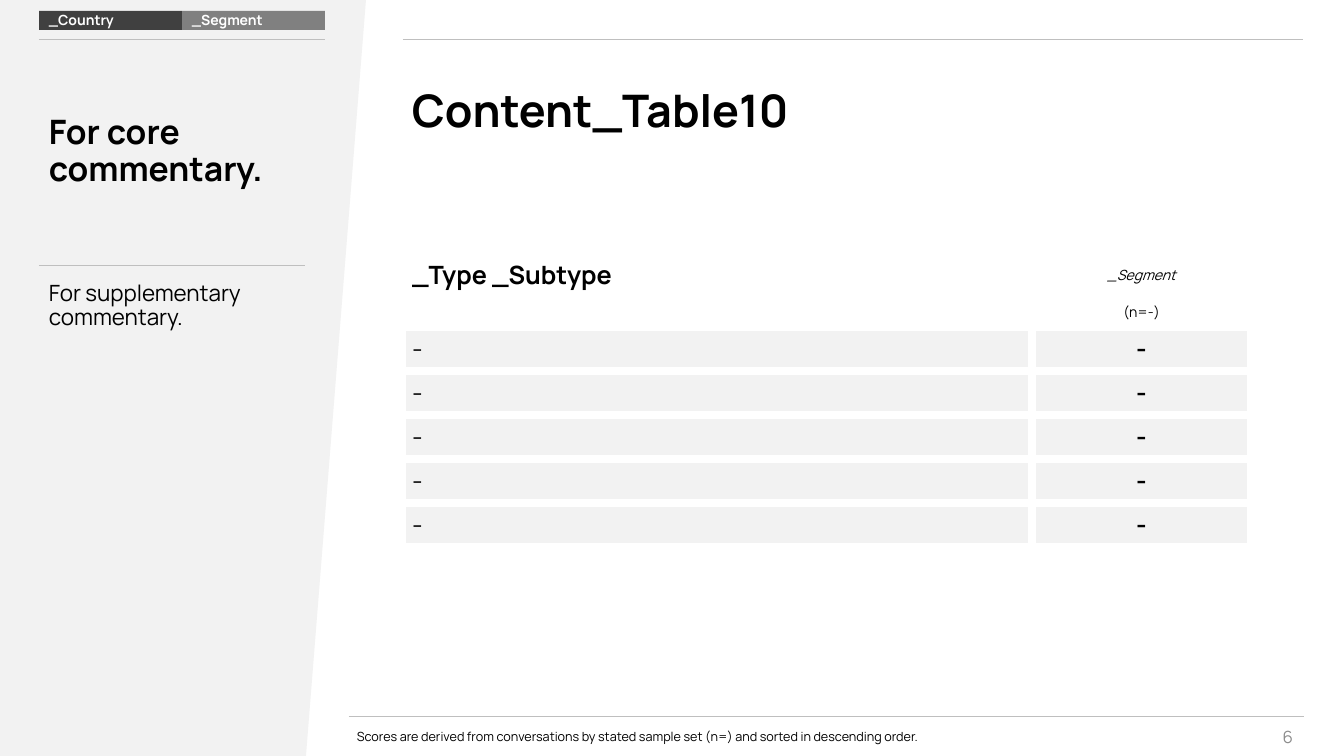
from lxml.etree import SubElement
from pptx import Presentation
from pptx.dml.color import RGBColor
from pptx.enum.shapes import MSO_CONNECTOR, MSO_SHAPE
from pptx.enum.text import MSO_ANCHOR, PP_ALIGN
from pptx.oxml import parse_xml
from pptx.oxml.ns import nsdecls, qn
from pptx.util import Pt

PX = 9071  # EMU per px
FONT = "Manrope"
COLORS = {"black": "000000", "white": "FFFFFF", "panel": "F2F2F2", "rule": "BFBFBF",
          "dark": "404040", "mid": "808080", "number": "8C8C8C"}

PANEL = [(0, 0), (366, 0), (306, 756), (0, 756)]
RULES = [(349, 1304, 716), (39, 325, 39), (39, 305, 265), (403, 1303, 39)]  # left, right, y
TABS = [("_Country", "dark"), ("_Segment", "mid")]
TEXTS = [
    ("6", (1221, 727, 82, 20), dict(size=12, color="number", align="right")),
    ("Scores are derived from conversations by stated sample set (n=) "
     "and sorted in descending order.",
     (347, 727, 834, 20), dict(size=9, line=0.9, before=10)),
    ("For core commentary.", (39, 51, 284, 202),
     dict(size=24, bold=True, line=0.9, before=10)),
    ("For supplementary commentary.", (39, 277, 266, 424),
     dict(size=16, line=0.9, before=10, anchor="top")),
    ("Content_Table10", (402, 40, 849, 146), dict(size=32, bold=True, line=0.9)),
]
HEAD = dict(size=18, bold=True)
BODY = dict(size=18)
SMALL = dict(size=10, align="center")
ROWS = [
    [("_Type _Subtype", HEAD), ("_Segment", dict(SMALL, italic=True))],
    [("", SMALL), ("(n=-)", SMALL)],
] + [[("-", BODY), ("-", dict(HEAD, align="center"))]] * 5
WIDTHS = [630, 219]
HEIGHTS = [44, 30] + [44] * 5
ALIGN = {"left": PP_ALIGN.LEFT, "center": PP_ALIGN.CENTER, "right": PP_ALIGN.RIGHT}
ANCHOR = {"top": MSO_ANCHOR.TOP, "middle": MSO_ANCHOR.MIDDLE}


def emu(*nums):
    return [n * PX for n in nums]


def rgb(name):
    return RGBColor.from_string(COLORS[name])


def paint(shape, color):
    shape.shadow.inherit = False
    shape.fill.solid()
    shape.fill.fore_color.rgb = rgb(color)
    shape.line.fill.background()


def write(frame, text, size=10, color="black", bold=False, italic=False,
          align="left", anchor="middle", line=None, before=None):
    frame.word_wrap = True
    frame.vertical_anchor = ANCHOR[anchor]
    para = frame.paragraphs[0]
    para.alignment = ALIGN[align]
    para.line_spacing = line
    if before:
        para.space_before = Pt(before)
    if not text:  # an empty cell still takes its height from the font size
        SubElement(para._p, qn("a:endParaRPr"), sz=str(size * 100))
        return
    run = para.add_run()
    run.text = text
    font = run.font
    font.name, font.size, font.bold, font.italic = FONT, Pt(size), bold, italic
    font.color.rgb = rgb(color)


def edge(cell, width):
    """Give a cell white borders on all four sides."""
    props = cell._tc.get_or_add_tcPr()
    for place, side in enumerate("LRTB"):
        props.insert(place, parse_xml(
            f'<a:ln{side} {nsdecls("a")} w="{Pt(width)}"><a:solidFill>'
            f'<a:srgbClr val="{COLORS["white"]}"/></a:solidFill></a:ln{side}>'))


def draw_table(shapes):
    frame = shapes.add_table(len(ROWS), len(WIDTHS),
                             *emu(402, 253, sum(WIDTHS), sum(HEIGHTS)))
    table = frame.table
    table.first_row = table.horz_banding = False
    for col, width in zip(table.columns, WIDTHS):
        col.width = width * PX
    for r, (row, height) in enumerate(zip(ROWS, HEIGHTS)):
        table.rows[r].height = height * PX
        for c, (text, style) in enumerate(row):
            cell = table.cell(r, c)
            if r < 2:
                cell.fill.background()
            else:
                cell.fill.solid()
                cell.fill.fore_color.rgb = rgb("panel")
            edge(cell, 6)
            write(cell.text_frame, text, **style)
            cell.vertical_anchor = MSO_ANCHOR.MIDDLE


def main():
    deck = Presentation()
    deck.slide_width, deck.slide_height = emu(1344, 756)
    shapes = deck.slides.add_slide(deck.slide_layouts[6]).shapes

    path = shapes.build_freeform(*PANEL[0], scale=PX)
    path.add_line_segments(PANEL[1:], close=True)
    paint(path.convert_to_shape(), "panel")

    for left, right, y in RULES:
        rule = shapes.add_connector(MSO_CONNECTOR.STRAIGHT, *emu(left, y, right, y))
        rule.line.color.rgb = rgb("rule")
        rule.line.width = Pt(0.25)
        SubElement(rule._element.spPr, qn("a:effectLst"))

    for text, box, style in TEXTS:
        write(shapes.add_textbox(*emu(*box)).text_frame, text, **style)

    for i, (text, color) in enumerate(TABS):
        tab = shapes.add_shape(MSO_SHAPE.RECTANGLE, *emu(39 + 143 * i, 11, 143, 19))
        paint(tab, color)
        write(tab.text_frame, text, color="white", bold=True, line=0.9, before=10)

    draw_table(shapes)
    deck.save("out.pptx")


if __name__ == "__main__":
    main()
